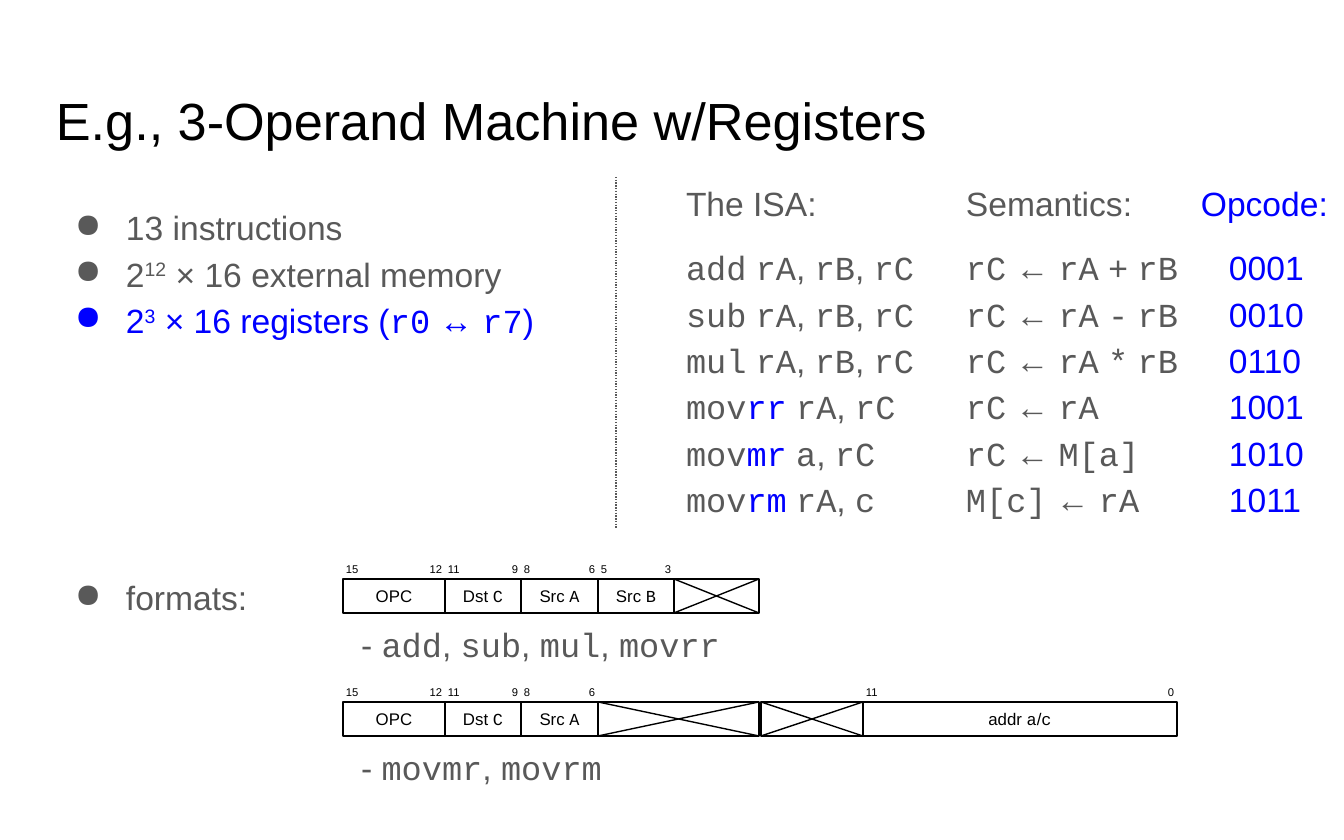
import pptx
import pptx.util
import pptx.dml.color
import pptx.enum.dml
import pptx.enum.shapes
import pptx.enum.text
import lxml.etree

COLORS = {"black": "000000", "gray": "595959", "blue": "0000FF", "white": "FFFFFF"}
SANS, MONO = "Arial", "Courier New"
ALIGN = pptx.enum.text.PP_ALIGN
ANCHOR = pptx.enum.text.MSO_ANCHOR

# Markup: ` toggles the code font, | toggles blue, ^ toggles superscript.
TITLE = "E.g., 3-Operand Machine w/Registers"
FACTS = ["13 instructions", "2^12^ × 16 external memory", "|2^3^ × 16 registers (`r0` ↔ `r7`)|"]
COLUMNS = [
    (673, 286, 0, "The ISA:", [
        "`add` `rA`, `rB`, `rC`", "`sub` `rA`, `rB`, `rC`", "`mul` `rA`, `rB`, `rC`",
        "`mov|rr|` `rA`, `rC`", "`mov|mr|` `a`, `rC`", "`mov|rm|` `rA`, `c`"]),
    (953, 260, 0, "Semantics:", [
        "`rC` ← `rA` `+` `rB`", "`rC` ← `rA` `-` `rB`", "`rC` ← `rA` `*` `rB`",
        "`rC` ← `rA`", "`rC` ← `M[a]`", "`M[c]` ← `rA`"]),
    (1188, 156, 28, "|Opcode:|", [
        "|0001|", "|0010|", "|0110|", "|1001|", "|1010|", "|1011|"]),
]
OPCODE, DEST, SOURCE = ("OPC", 15, 12), ("Dst `C`", 11, 9), ("Src `A`", 8, 6)
FORMATS = [
    (579, "- `add`, `sub`, `mul`, `movrr`",
     [(343, [OPCODE, DEST, SOURCE, ("Src `B`", 5, 3), (None, 2, 0)])]),
    (702, "- `movmr`, `movrm`",
     [(343, [OPCODE, DEST, SOURCE, (None, 5, 0)]),
      (761, [(None, 15, 12), ("addr `a`/`c`", 11, 0)])]),
]
INSET, WORD_WIDTH, BIT_WIDTH, FIELD_HEIGHT = 13, 416, 25.5, 34


def px(length):
    return round(length * 914400 / 134.4)


def rgb(name):
    return pptx.dml.color.RGBColor.from_string(COLORS[name])


def add_runs(para, markup, size, color):
    active = {"`": False, "|": False, "^": False}
    text = ""
    for char in markup + "`":
        if char not in active:
            text += char
            continue
        if text:
            span = para.add_run()
            span.text = text
            span.font.size = pptx.util.Pt(size)
            span.font.name = MONO if active["`"] else SANS
            span.font.color.rgb = rgb("blue" if active["|"] else color)
            if active["^"]:
                span.font._element.set("baseline", "30000")
            text = ""
        active[char] = not active[char]


def add_bullet(para, color):
    props = para._p.get_or_add_pPr()
    props.set("marL", str(px(67)))
    props.set("indent", str(px(-51)))
    bullet_color = lxml.etree.SubElement(props, pptx.oxml.ns.qn("a:buClr"))
    lxml.etree.SubElement(bullet_color, pptx.oxml.ns.qn("a:srgbClr")).set("val", COLORS[color])
    lxml.etree.SubElement(props, pptx.oxml.ns.qn("a:buChar")).set("char", "●")


def fill_text(box, lines, size=18, color="gray", inset=INSET, anchor=ANCHOR.TOP,
              align=ALIGN.LEFT, spacing=1.0, bullets=False, indent=0):
    frame = box.text_frame
    frame.word_wrap = True
    frame.vertical_anchor = anchor
    frame.margin_left = frame.margin_right = px(inset)
    frame.margin_top = frame.margin_bottom = px(inset)
    for index, line in enumerate(lines):
        para = frame.add_paragraph() if index else frame.paragraphs[0]
        para.alignment = align
        para.line_spacing = spacing
        if bullets:
            add_bullet(para, "blue" if line.startswith("|") else color)
        elif indent:
            para._p.get_or_add_pPr().set("marL", str(px(indent)))
        add_runs(para, line, size, color)


def add_text(left, top, width, height, lines, **style):
    box = page.shapes.add_textbox(px(left), px(top), px(width), px(height))
    fill_text(box, lines, **style)


def add_body(left, top, width, height, lines, **style):
    add_text(left, top, width, height, lines, spacing=1.15, **style)


def add_line(x1, y1, x2, y2, color="black"):
    line = page.shapes.add_connector(
        pptx.enum.shapes.MSO_CONNECTOR.STRAIGHT, px(x1), px(y1), px(x2), px(y2))
    line.line.width = pptx.util.Pt(0.75)
    line.line.color.rgb = rgb(color)
    lxml.etree.SubElement(line._element.spPr, pptx.oxml.ns.qn("a:effectLst"))
    return line


def add_field(start, top, label, high, low):
    left = int(start + BIT_WIDTH * (15 - high))
    right = int(start + BIT_WIDTH * (16 - low)) if low else start + WORD_WIDTH
    bottom = top + FIELD_HEIGHT
    field = page.shapes.add_shape(
        pptx.enum.shapes.MSO_SHAPE.RECTANGLE, px(left), px(top), px(right - left), px(FIELD_HEIGHT))
    field.shadow.inherit = False
    field.fill.background()
    field.line.color.rgb = rgb("black")
    field.line.width = pptx.util.Pt(0.75)
    if label is None:
        add_line(left, bottom, right, top)
        add_line(left, top, right, bottom)
        return
    fill_text(field, [label], size=9, color="black", inset=0, anchor=ANCHOR.MIDDLE, align=ALIGN.CENTER)
    for bit, x, align in ((high, left + 3, ALIGN.LEFT), (low, right - 27, ALIGN.RIGHT)):
        add_text(x, top - 21, 24, 21, [str(bit)], size=6, color="black", inset=0,
                 anchor=ANCHOR.MIDDLE, align=align)


deck = pptx.Presentation()
deck.slide_width, deck.slide_height = px(1344), px(840)
page = deck.slides.add_slide(deck.slide_layouts[6])
page.background.fill.solid()
page.background.fill.fore_color.rgb = rgb("white")

add_text(43, 70, 1253, 94, [TITLE], size=28, color="black", anchor=ANCHOR.BOTTOM)
add_body(46, 188, 560, 170, FACTS, bullets=True)
add_body(46, 558, 262, 63, ["formats:"], bullets=True)
divider = add_line(616, 177, 616, 528, "gray")
divider.line.dash_style = pptx.enum.dml.MSO_LINE.ROUND_DOT

for left, width, indent, heading, rows in COLUMNS:
    add_body(left, 164, width, 64, [heading])
    add_body(left, 228, width, 304, rows, indent=indent)

for top, users, words in FORMATS:
    for start, fields in words:
        for field in fields:
            add_field(start, top, *field)
    add_body(348, top + 26, 497, 74, [users])

deck.save("out.pptx")
